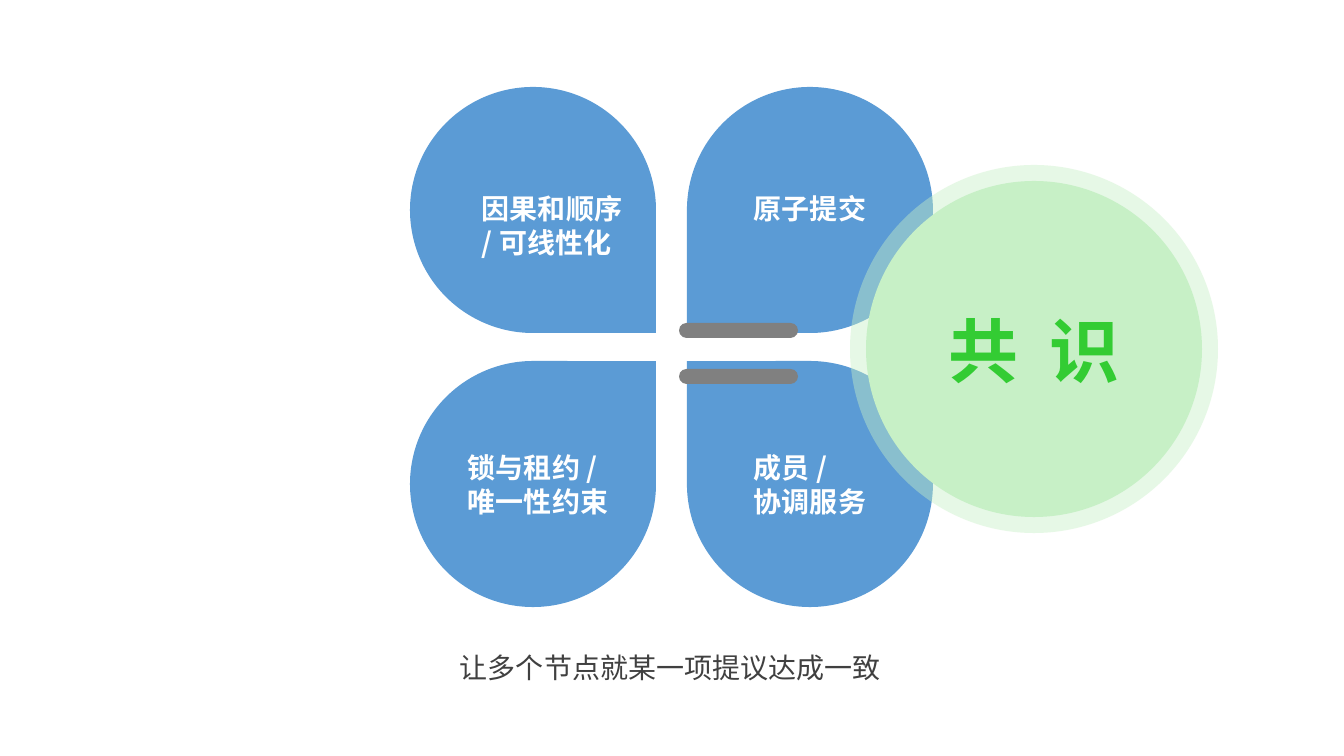
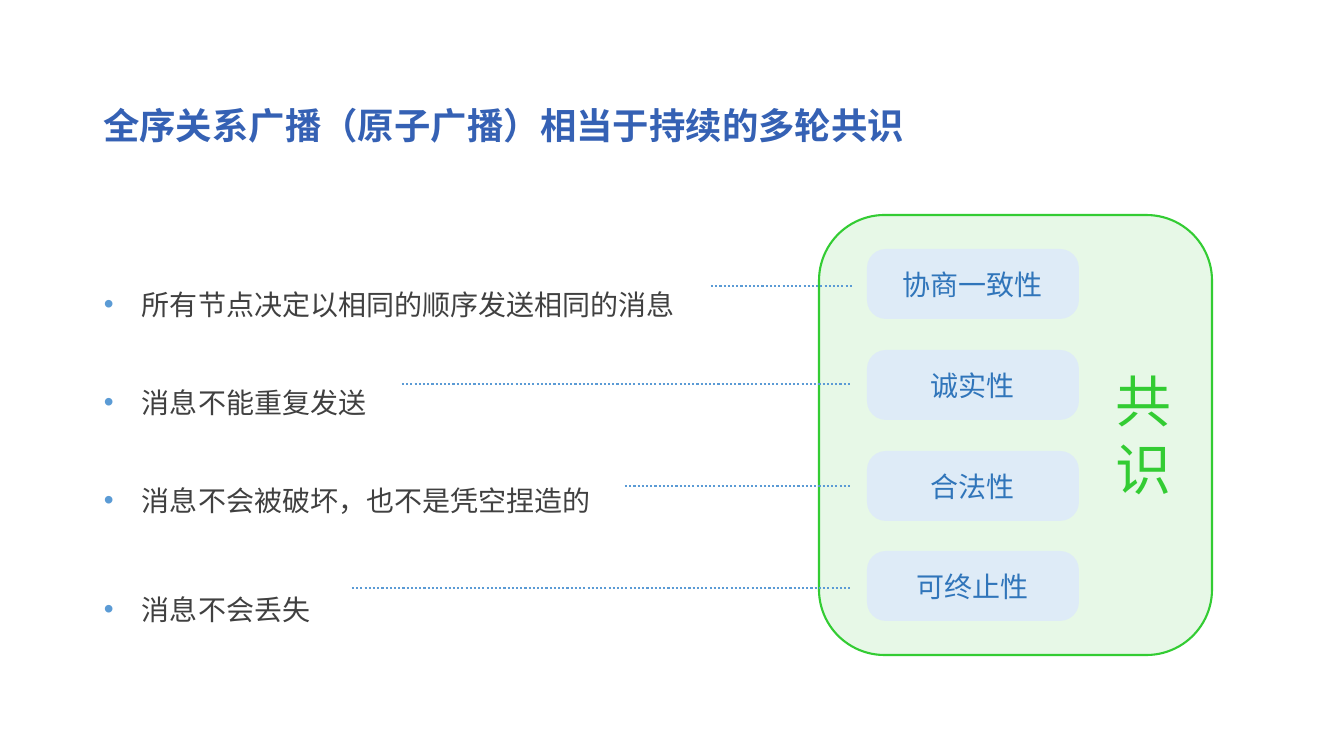
from lxml.etree import SubElement
from pptx import Presentation
from pptx.dml.color import RGBColor
from pptx.enum.dml import MSO_LINE
from pptx.enum.shapes import MSO_CONNECTOR, MSO_SHAPE
from pptx.enum.text import MSO_ANCHOR, MSO_AUTO_SIZE, PP_ALIGN
from pptx.oxml.ns import qn
from pptx.util import Emu, Pt

PX_PER_INCH = 100.8
FONT = "Noto Sans CJK SC"
BODY_SIZE = 20

WHITE = RGBColor(0xFF, 0xFF, 0xFF)
BLUE = RGBColor(0x5B, 0x9B, 0xD5)
TITLE_BLUE = RGBColor(0x35, 0x61, 0xB4)
CHIP_BLUE = RGBColor(0xDE, 0xEB, 0xF7)
CHIP_TEXT = RGBColor(0x30, 0x75, 0xBA)
GREEN = RGBColor(0x33, 0xCC, 0x33)
PALE_GREEN = RGBColor(0xC7, 0xF0, 0xC6)
GRAY = RGBColor(0x80, 0x80, 0x80)
TEXT_GRAY = RGBColor(0x40, 0x40, 0x40)


def px(length):
    return Emu(round(length * 914400 / PX_PER_INCH))


class Painter:
    """Holds the deck's style and the slide being drawn."""

    def __init__(self, width, height):
        self.deck = Presentation()
        self.deck.slide_width, self.deck.slide_height = px(width), px(height)
        self.slide = None

    def blank_page(self):
        self.slide = self.deck.slides.add_slide(self.deck.slide_layouts[6])

    def titled_page(self, text):
        self.slide = self.deck.slides.add_slide(self.deck.slide_layouts[5])
        title = self.slide.shapes.title
        title.left, title.top, title.width, title.height = map(px, (93, 98, 1091, 54))
        frame = title.text_frame
        frame.vertical_anchor = MSO_ANCHOR.TOP
        frame.auto_size = MSO_AUTO_SIZE.NONE
        frame.text = text
        frame.paragraphs[0].alignment = PP_ALIGN.LEFT
        self.style(frame.paragraphs[0], 26, TITLE_BLUE, bold=True)

    def style(self, paragraph, size, color, bold=False):
        font = paragraph.font
        font.size, font.bold = Pt(size), bold
        font.color.rgb = color
        font.name = FONT
        properties = paragraph._p.pPr.find(qn("a:defRPr"))
        SubElement(properties, qn("a:ea"), typeface=FONT)

    def text(self, box, lines, color, size=BODY_SIZE, bold=False, wrap=False,
             spacing=None, bullet=False):
        frame = self.slide.shapes.add_textbox(*map(px, box)).text_frame
        frame.word_wrap = wrap
        frame.auto_size = MSO_AUTO_SIZE.SHAPE_TO_FIT_TEXT
        frame.text = "\n".join(lines)
        for paragraph in frame.paragraphs:
            if spacing:
                paragraph.line_spacing = spacing
            if bullet:
                self.add_bullet(paragraph)
            self.style(paragraph, size, color, bold)

    def add_bullet(self, paragraph):
        properties = paragraph._p.get_or_add_pPr()
        indent = px(38)
        properties.set("marL", str(indent))
        properties.set("indent", str(-indent))
        bullet_color = SubElement(properties, qn("a:buClr"))
        SubElement(bullet_color, qn("a:srgbClr"), val=str(BLUE))
        SubElement(properties, qn("a:buFont"), typeface="Arial")
        SubElement(properties, qn("a:buChar"), char="•")

    def shape(self, kind, box, fill, opacity=None, outline=None, radius=None):
        shape = self.slide.shapes.add_shape(kind, *map(px, box))
        shape.shadow.inherit = False
        shape.fill.solid()
        shape.fill.fore_color.rgb = fill
        if opacity:
            color = shape._element.spPr.find(qn("a:solidFill"))[0]
            SubElement(color, qn("a:alpha"), val=str(opacity * 1000))
        if outline:
            shape.line.color.rgb = outline
            shape.line.width = Pt(1.5)
        else:
            shape.line.fill.background()
        if radius is not None:
            shape.adjustments[0] = radius
        return shape

    def petal(self, box, flip_h, flip_v):
        petal = self.shape(MSO_SHAPE.TEAR, box, BLUE)
        transform = petal._element.spPr.xfrm
        if flip_h:
            transform.set("flipH", "1")
        if flip_v:
            transform.set("flipV", "1")

    def label(self, shape, pieces, color, size=BODY_SIZE, bold=False):
        """Centre the pieces in the shape, one run each, and return the runs."""
        frame = shape.text_frame
        frame.vertical_anchor = MSO_ANCHOR.MIDDLE
        paragraph = frame.paragraphs[0]
        paragraph.alignment = PP_ALIGN.CENTER
        self.style(paragraph, size, color, bold)
        for piece in pieces:
            paragraph.add_run().text = piece
        return paragraph.runs

    def dotted_line(self, left, right, y):
        line = self.slide.shapes.add_connector(
            MSO_CONNECTOR.STRAIGHT, px(left), px(y), px(right), px(y))
        line.line.color.rgb = BLUE
        line.line.width = Pt(1.5)
        line.line.dash_style = MSO_LINE.ROUND_DOT
        SubElement(line._element.spPr, qn("a:effectLst"))


def draw_overview(painter):
    painter.blank_page()
    for top, flip_v in ((361, False), (87, True)):
        for left, flip_h in ((410, False), (687, True)):
            painter.petal((left, top, 246, 246), flip_h, flip_v)

    petal_labels = (
        ((472, 187, 161, 78), ("因果和顺序", "/ 可线性化")),
        ((744, 187, 133, 44), ("原子提交",)),
        ((458, 446, 161, 78), ("锁与租约 /", "唯一性约束")),
        ((744, 446, 133, 78), ("成员 /", "协调服务")),
    )
    for box, lines in petal_labels:
        painter.text(box, lines, WHITE, bold=True)
    painter.text((450, 629, 443, 61), ("让多个节点就某一项提议达成一致",),
                 TEXT_GRAY, wrap=True, spacing=1.5)

    painter.shape(MSO_SHAPE.OVAL, (850, 165, 368, 368), PALE_GREEN, opacity=43)
    disc = painter.shape(MSO_SHAPE.OVAL, (866, 181, 336, 336), PALE_GREEN)
    gap = painter.label(disc, ("共", " ", "识"), GREEN, size=50, bold=True)[1]
    gap._r.get_or_add_rPr().set("spc", "1100")
    for top in (323, 369):
        painter.shape(MSO_SHAPE.ROUNDED_RECTANGLE, (679, top, 119, 15), GRAY, radius=0.5)


def draw_broadcast(painter):
    painter.titled_page("全序关系广播（原子广播）相当于持续的多轮共识")
    painter.shape(MSO_SHAPE.ROUNDED_RECTANGLE, (819, 215, 393, 440), PALE_GREEN,
                  opacity=41, outline=GREEN)
    painter.text((1106, 362, 77, 146), ("共", "识"), GREEN, size=40)

    # message, its top, property, start and height of the dotted line
    rows = (
        ("所有节点决定以相同的顺序发送相同的消息", 215, "协商一致性", 711, 286),
        ("消息不能重复发送", 313, "诚实性", 402, 384),
        ("消息不会被破坏，也不是凭空捏造的", 411, "合法性", 625, 486),
        ("消息不会丢失", 520, "可终止性", 352, 588),
    )
    for index, (message, top, name, line_left, line_y) in enumerate(rows):
        painter.text((94, top, 618, 94), (message,), TEXT_GRAY, wrap=True,
                     spacing=3.0, bullet=True)
        chip = painter.shape(MSO_SHAPE.ROUNDED_RECTANGLE,
                             (867, 249 + round(index * PX_PER_INCH), 212, 70),
                             CHIP_BLUE, radius=0.27)
        painter.label(chip, (name,), CHIP_TEXT)
        painter.dotted_line(line_left, 852, line_y)


def main():
    painter = Painter(1344, 756)
    draw_overview(painter)
    draw_broadcast(painter)
    painter.deck.save("out.pptx")


if __name__ == "__main__":
    main()
